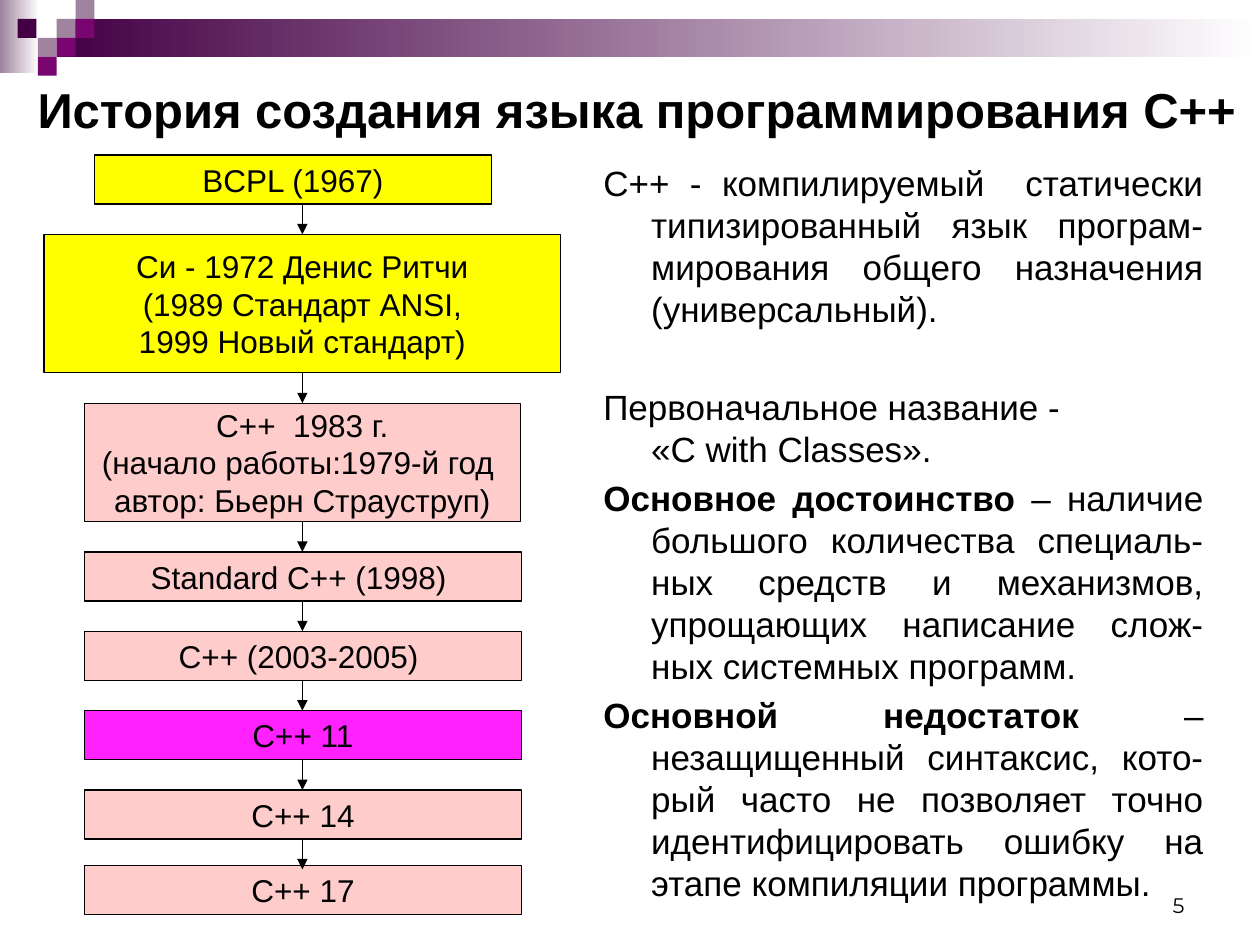
from dataclasses import dataclass

from lxml import etree
from pptx import Presentation
from pptx import util as u
from pptx.dml.color import RGBColor
from pptx.enum import shapes, text
from pptx.oxml.ns import qn


@dataclass(frozen=True)
class Theme:
    """Colours, fonts and type sizes of the deck."""
    ink: str = "000000"
    white: str = "FFFFFF"
    dark: str = "440044"
    plum: str = "790571"
    mauve: str = "9F839F"
    yellow: str = "FFFF00"
    pink: str = "FFCCCC"
    magenta: str = "FF22FF"
    font: str = "Arial"
    number_font: str = "Montserrat"
    title: int = 28
    body: int = 20
    stage: int = 18
    number: int = 12
    line: float = 0.75


THEME = Theme()
ALIGN = text.PP_ALIGN
ANCHOR = text.MSO_ANCHOR


def add_span(para, words, size, bold=False, font=THEME.font):
    """Add one run of text to a paragraph."""
    span = para.add_run()
    span.text = words
    span.font.name = font
    span.font.size = u.Pt(size)
    span.font.bold = bold
    span.font.color.rgb = RGBColor.from_string(THEME.ink)


def add_paras(frame, count):
    """Yield the given number of paragraphs of a text frame."""
    for index in range(count):
        yield frame.add_paragraph() if index else frame.paragraphs[0]


def add_text_box(page, left, top, width, height, anchor=ANCHOR.TOP):
    """Add a wrapping text box and return its frame."""
    box = page.shapes.add_textbox(*map(u.Inches, (left, top, width, height)))
    box.text_frame.word_wrap = True
    box.text_frame.vertical_anchor = anchor
    return box.text_frame


def add_rect(page, left, top, width, height, *colors):
    """Add a rectangle without outline; two colours make a gradient."""
    box = page.shapes.add_shape(shapes.MSO_SHAPE.RECTANGLE,
                                *map(u.Inches, (left, top, width, height)))
    box.shadow.inherit = False
    box.line.fill.background()
    if len(colors) == 1:
        box.fill.solid()
        box.fill.fore_color.rgb = RGBColor.from_string(colors[0])
    else:
        box.fill.gradient()
        box.fill.gradient_angle = 0
        for stop, color in zip(box.fill.gradient_stops, colors):
            stop.color.rgb = RGBColor.from_string(color)
    return box


def add_header(page, left, top):
    """Draw the gradient bands and the mosaic of small squares."""
    side = 0.15
    add_rect(page, left, top, 0.31, 0.58, THEME.mauve, THEME.white)
    add_rect(page, left + 0.45, top + side, 9.55, 0.3, THEME.dark, THEME.white)
    squares = [(3, 1, THEME.mauve), (4, 0, THEME.mauve), (4, 1, THEME.plum),
               (2, 2, THEME.mauve), (0.93, 1, THEME.dark),
               (3, 2, THEME.plum), (2, 3, THEME.plum)]
    for column, row, color in squares:
        add_rect(page, left + column * side, top + row * side, side, side, color)


def add_title(page, left, top, width, height, words):
    """Place the slide title."""
    frame = add_text_box(page, left, top, width, height, ANCHOR.MIDDLE)
    add_span(frame.paragraphs[0], words, THEME.title, bold=True)


def add_stage(page, left, top, width, height, color, lines):
    """Place one outlined stage of the history."""
    box = add_rect(page, left, top, width, height, color)
    box.line.color.rgb = RGBColor.from_string(THEME.ink)
    box.line.width = u.Pt(THEME.line)
    frame = box.text_frame
    frame.word_wrap = False
    frame.vertical_anchor = ANCHOR.MIDDLE
    for para, words in zip(add_paras(frame, len(lines)), lines):
        para.alignment = ALIGN.CENTER
        add_span(para, words, THEME.stage)


def add_arrow(page, x, top, length):
    """Draw an arrow pointing down."""
    arrow = page.shapes.add_connector(
        shapes.MSO_CONNECTOR.STRAIGHT,
        *map(u.Inches, (x, top, x, top + length)))
    arrow.line.color.rgb = RGBColor.from_string(THEME.ink)
    arrow.line.width = u.Pt(THEME.line)
    etree.SubElement(arrow.line._get_or_add_ln(), qn("a:tailEnd"), type="triangle")
    etree.SubElement(arrow._element.spPr, qn("a:effectLst"))


def add_history(page, left, top, stages):
    """Stack the stages downwards and join them with arrows."""
    gap = 0.24
    arrow_tops = []
    for inset, width, height, lift, color, lines in stages:
        add_stage(page, left + inset, top - lift, width, height, color, lines)
        arrow_tops.append(top + height)
        top += height + gap
    for arrow_top in arrow_tops[:-1]:
        add_arrow(page, left + 2.05, arrow_top, gap)


def add_body(page, left, top, width, height, items):
    """Place the description as paragraphs with hanging indents."""
    frame = add_text_box(page, left, top, width, height)
    paras = add_paras(frame, len(items))
    for para, (align, space, spans) in zip(paras, items):
        para.alignment = align
        para.space_before = u.Pt(space)
        properties = para._p.get_or_add_pPr()
        properties.set("marL", str(u.Inches(0.38)))
        properties.set("indent", str(u.Inches(-0.38)))
        for index, (words, bold) in enumerate(spans):
            if index and align == ALIGN.LEFT:
                para.add_line_break()
            add_span(para, words, THEME.body, bold)


def add_number(page, left, top, width, height, words):
    """Place the slide number."""
    frame = add_text_box(page, left, top, width, height, ANCHOR.BOTTOM)
    frame.paragraphs[0].alignment = ALIGN.RIGHT
    add_span(frame.paragraphs[0], words, THEME.number, font=THEME.number_font)


def short_stage(words, color=THEME.pink, lift=0.0):
    """Describe a stage of one line."""
    return 0.32, 3.47, 0.39, lift, color, [words]


STAGES = [
    (0.4, 3.15, 0.39, 0, THEME.yellow, ["BCPL (1967)"]),
    (0, 4.1, 1.1, 0, THEME.yellow,
     ["Си - 1972 Денис Ритчи", "(1989 Стандарт ANSI,", "1999 Новый стандарт)"]),
    (0.32, 3.46, 0.94, 0, THEME.pink,
     ["С++  1983 г.", "(начало работы:1979-й год ", "автор: Бьерн Страуструп)"]),
    short_stage("Standard С++ (1998) "),
    short_stage("С++ (2003-2005) "),
    short_stage("С++ 11", THEME.magenta),
    short_stage("C++ 14"),
    short_stage("C++ 17", lift=0.03),
]

BODY = [
    (ALIGN.JUSTIFY, 4, [
        ("С++ - компилируемый  статически типизированный язык програм-"
         "мирования общего назначения (универсальный).", False)]),
    (ALIGN.LEFT, 32, [("Первоначальное название -", False),
                      ("«С with Classes».", False)]),
    (ALIGN.JUSTIFY, 4, [
        ("Основное достоинство", True),
        (" – наличие большого количества специаль-ных средств и механизмов, "
         "упрощающих написание слож-ных системных программ.", False)]),
    (ALIGN.JUSTIFY, 4, [
        ("Основной недостаток", True),
        (" – незащищенный синтаксис, кото-рый часто не позволяет точно "
         "идентифицировать ошибку на этапе компиляции программы.", False)]),
]

deck = Presentation()
deck.slide_width, deck.slide_height = u.Inches(10), u.Inches(7.5)
page = deck.slides.add_slide(deck.slide_layouts[6])
add_header(page, 0, 0)
add_number(page, 7.17, 6.83, 2.33, 0.5, "5")
add_title(page, 0.2, 0.5, 9.8, 0.73, "История создания языка программирования С++")
add_body(page, 4.69, 1.23, 4.96, 5.9, BODY)
add_history(page, 0.35, 1.23, STAGES)
deck.save("out.pptx")
